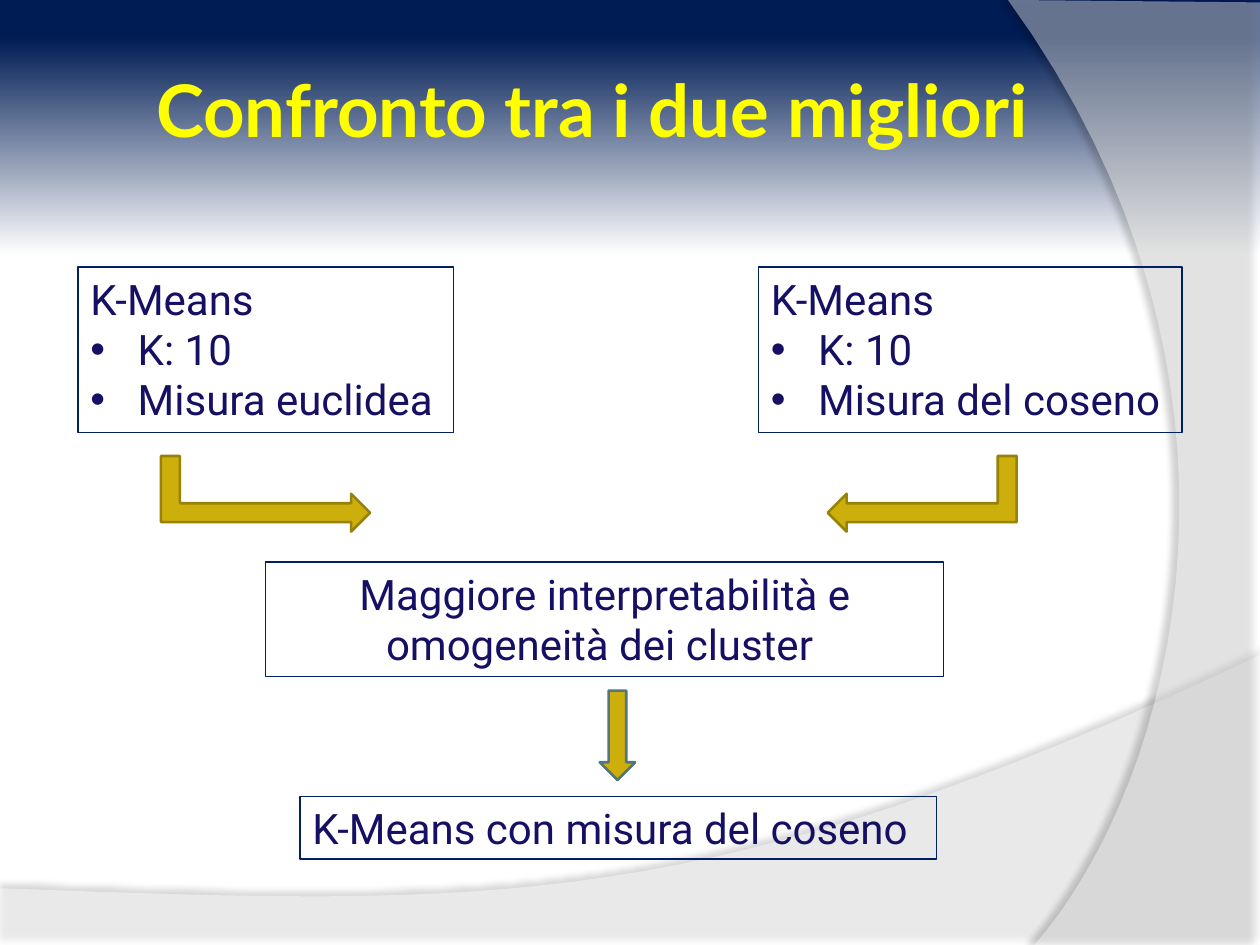
from lxml import etree
from pptx import Presentation
from pptx.dml.color import RGBColor
from pptx.enum import shapes, text
from pptx.oxml import ns
from pptx.util import Pt

COLORS = {
    "navy": "001C54", "white": "FFFFFF", "shade": "000000", "title": "FFFF00",
    "ink": "151064", "border": "002060", "gold": "CCAF0A",
    "gold_edge": "978107", "blue_edge": "517682",
}
CURVE_STEPS = 32


def color(name):
    return RGBColor.from_string(COLORS[name])


def add_xml(parent, tag, **attributes):
    child = etree.SubElement(parent, ns.qn(tag))
    for key, value in attributes.items():
        child.set(key, str(value))
    return child


def paint_background(slide):
    fill = slide.background.fill
    fill.gradient()
    fill.gradient_angle = 270
    for stop, (name, position) in zip(fill.gradient_stops, [("navy", 0.04), ("white", 0.27)]):
        stop.color.rgb = color(name)
        stop.position = position


def curve(start, first, second, end):
    for step in range(1, CURVE_STEPS + 1):
        t = step / CURVE_STEPS
        s = 1 - t
        yield tuple(s**3 * a + 3 * s * s * t * b + 3 * s * t * t * c + t**3 * d
                    for a, b, c, d in zip(start, first, second, end))


def add_veil(slide, corners, bend, opacity, shadow_opacity, distance, direction):
    outline = [*corners, *curve(corners[-1], *bend)]
    points = [(Pt(x), Pt(y)) for x, y in outline]
    builder = slide.shapes.build_freeform(*points[0])
    builder.add_line_segments(points[1:])
    veil = builder.convert_to_shape()
    veil.fill.solid()
    veil.fill.fore_color.rgb = color("white")
    veil.line.fill.background()
    properties = veil.element.spPr
    add_xml(properties.find(".//" + ns.qn("a:srgbClr")), "a:alpha", val=opacity * 1000)
    effects = add_xml(properties, "a:effectLst")
    shadow = add_xml(effects, "a:outerShdw", blurRad=Pt(4), dist=Pt(distance),
                     dir=direction * 60000, algn="ctr", rotWithShape=0)
    shade = add_xml(shadow, "a:srgbClr", val=COLORS["shade"])
    add_xml(shade, "a:alpha", val=shadow_opacity * 1000)
    slide.shapes.title.element.addprevious(veil.element)


def add_decoration(slide, width, height):
    add_veil(slide, [(0, 507.6), (0, height), (width, height), (width, 374.4)],
             [(402.5, 524.9), (281.5, 517.7), (0, 507.6)], 45, 35, 3.5, 270)
    add_veil(slide, [(width, 1.4), (width, height), (591.1, height)],
             [(673.2, 445.7), (733, 216), (576, 0)], 40, 45, 4, 180)


def place_title(slide, box, wording):
    title = slide.shapes.title
    title.left, title.top, title.width, title.height = map(Pt, box)
    frame = title.text_frame
    frame.text = wording
    frame.word_wrap = True
    frame.auto_size = text.MSO_AUTO_SIZE.NONE
    frame.vertical_anchor = text.MSO_ANCHOR.MIDDLE
    frame.margin_left = frame.margin_right = Pt(3.6)
    frame.margin_top = frame.margin_bottom = Pt(3.6)
    heading = frame.paragraphs[0]
    heading.alignment = text.PP_ALIGN.LEFT
    heading.font.name, heading.font.size, heading.font.bold = "Lato", Pt(41.4), True
    heading.font.color.rgb = color("title")


def add_card(slide, box, heading, bullets=(), wrap=False):
    card = slide.shapes.add_textbox(*map(Pt, box))
    card.line.color.rgb = color("border")
    card.line.width = Pt(0.75)
    frame = card.text_frame
    frame.word_wrap = wrap
    frame.auto_size = text.MSO_AUTO_SIZE.SHAPE_TO_FIT_TEXT
    frame.text = "\n".join([heading, *bullets])
    for index, paragraph in enumerate(frame.paragraphs):
        paragraph.alignment = text.PP_ALIGN.CENTER if wrap else text.PP_ALIGN.LEFT
        paragraph.font.name, paragraph.font.size = "Roboto", Pt(24)
        paragraph.font.color.rgb = color("ink")
        if index:
            properties = paragraph._p.get_or_add_pPr()
            properties.set("marL", str(Pt(27)))
            properties.set("indent", str(-Pt(27)))
            bullet_font = etree.Element(ns.qn("a:buFont"), typeface="Arial")
            bullet = etree.Element(ns.qn("a:buChar"), char="•")
            properties.insert(0, bullet_font)
            bullet_font.addnext(bullet)


def add_arrow(slide, preset, box, edge):
    arrow = slide.shapes.add_shape(preset, *map(Pt, box))
    arrow.shadow.inherit = False
    arrow.fill.solid()
    arrow.fill.fore_color.rgb = color("gold")
    arrow.line.color.rgb = color(edge)
    arrow.line.width = Pt(1.5)
    return arrow


def add_elbow(slide, box, points_right):
    left, top, width, height = box
    turned = (left + (width - height) / 2, top + (height - width) / 2, height, width)
    elbow = add_arrow(slide, shapes.MSO_SHAPE.BENT_UP_ARROW, turned, "gold_edge")
    elbow.rotation = 270
    frame = elbow.element.spPr.find(ns.qn("a:xfrm"))
    frame.set("flipH", "1")
    if points_right:
        frame.set("flipV", "1")


def add_comparison(slide, left, top):
    add_card(slide, (left + 388.8, top, 242, 94.5), "K-Means", ["K: 10", "Misura del coseno"])
    add_elbow(slide, (left + 428.4, top + 108, 108, 43.2), False)
    add_card(slide, (left + 107.3, top + 168.5, 387.4, 65.5),
             "Maggiore interpretabilità e omogeneità dei cluster ", wrap=True)
    add_card(slide, (left, top, 214.6, 94.5), "K-Means", ["K: 10", "Misura euclidea"])
    add_elbow(slide, (left + 47.4, top + 108, 119.5, 43.2), True)
    add_arrow(slide, shapes.MSO_SHAPE.DOWN_ARROW, (left + 298.1, top + 242, 20.2, 51.1), "blue_edge")
    add_card(slide, (left + 126.8, top + 302.4, 363.6, 36), "K-Means con misura del coseno")


def main():
    deck = Presentation()
    deck.slide_width, deck.slide_height = Pt(720), Pt(540)
    slide = deck.slides.add_slide(deck.slide_layouts[5])
    paint_background(slide)
    add_decoration(slide, 720, 540)
    place_title(slide, (85.7, 25.9, 539.3, 72.7), "Confronto tra i due migliori")
    add_comparison(slide, 44.6, 152.6)
    deck.save("out.pptx")


if __name__ == "__main__":
    main()
